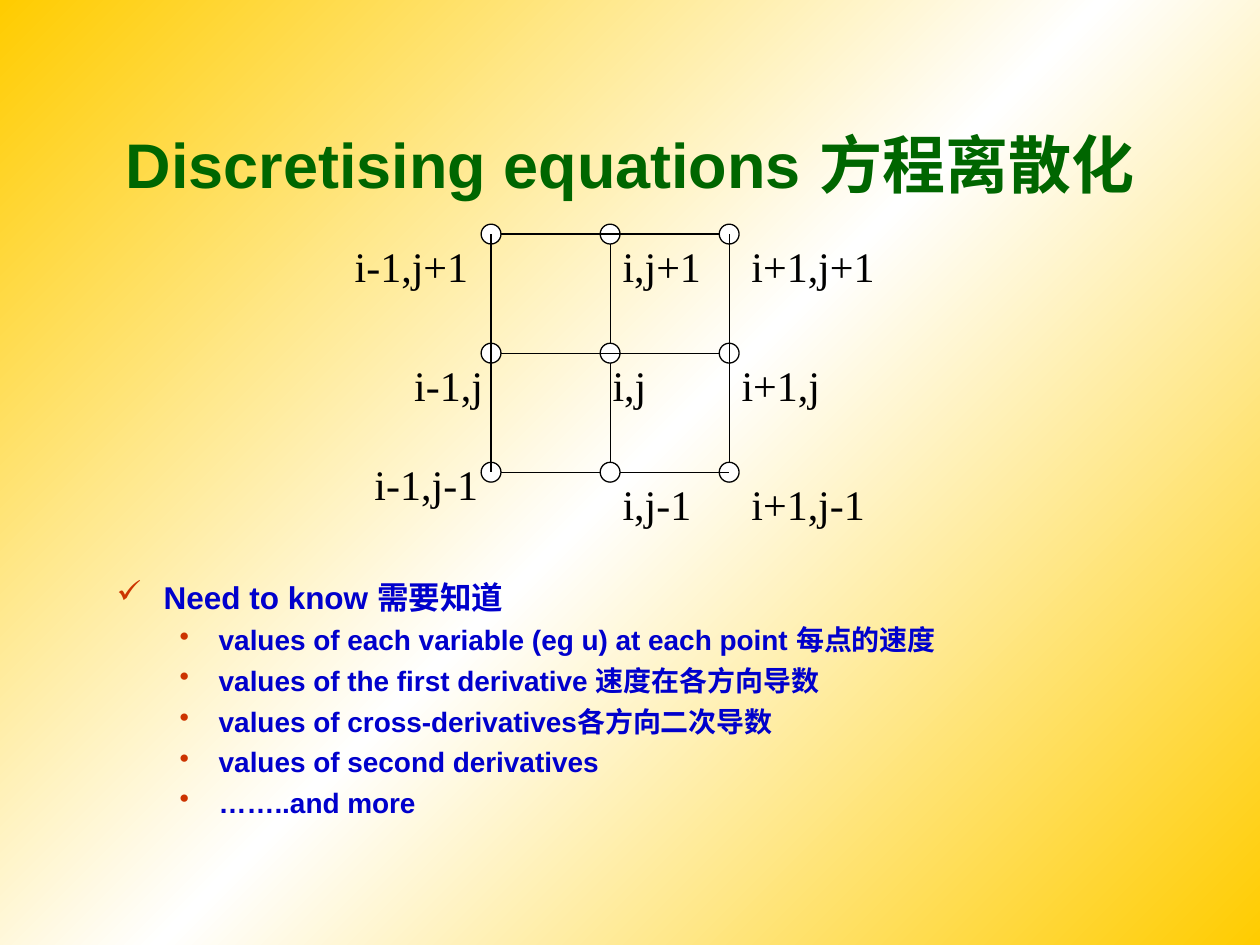
from copy import deepcopy

from lxml import etree
from pptx import Presentation, util as u
from pptx.dml.color import RGBColor
from pptx.enum import shapes, text
from pptx.oxml.ns import qn

COLORS = {"gold": "FFCC00", "white": "FFFFFF", "title": "006600",
          "body": "0000CC", "bullet": "CC3300", "ink": "000000"}

TITLE = "Discretising equations 方程离散化"
POINTS = [
    (0, "Need to know 需要知道"),
    (1, "values of each variable (eg u) at each point 每点的速度"),
    (1, "values of the first derivative 速度在各方向导数"),
    (1, "values of cross-derivatives各方向二次导数"),
    (1, "values of second derivatives"),
    (1, "……..and more"),
]
# level: bullet, left margin, hanging indent, size, space before
LEVELS = [("✓", 0.95, 0.95, 18, 4.5), ("•", 2.06, 0.79, 16, 4)]

GRID_LEFT, GRID_TOP, STEP, NODE = 9.9, 4.72, 2.4, 0.4
RIM = NODE / 2 / STEP
HORIZONTALS = [(0, RIM, 2 - RIM), (1, RIM, 2 - RIM),
               (2, RIM, 1 - RIM), (2, 1 + RIM, 2)]
VERTICALS = [(0, 0, 2), (1, RIM, 1 - RIM), (1, 1 + RIM, 2 - RIM), (2, 0, 2 - RIM)]
# text, column, row, shift right, shift down, width
LABELS = [
    ("i-1,j+1", 0, 0, -3, 0, 3.2),
    ("i,j+1", 1, 0, 0, 0, 3.8),
    ("i+1,j+1", 2, 0, 0.2, 0, 3.8),
    ("i-1,j", 0, 1, -1.8, 0, 2.6),
    ("i,j", 1, 1, -0.2, 0, 1.8),
    ("i+1,j", 2, 1, 0, 0, 2.6),
    ("i-1,j-1", 0, 2, -2.6, -0.4, 3),
    ("i,j-1", 1, 2, 0, 0, 3.8),
    ("i+1,j-1", 2, 2, 0.2, 0, 3.8),
]


def rgb(name):
    return RGBColor.from_string(COLORS[name])


def grid_point(column, row):
    return GRID_LEFT + column * STEP, GRID_TOP + row * STEP


def paint_background(slide):
    fill = slide.background.fill
    fill.gradient()
    fill.gradient_angle = 135
    stop_list = slide._element.find(".//" + qn("a:gsLst"))
    stop_list.append(deepcopy(stop_list[0]))
    for stop, name, position in zip(fill.gradient_stops, ("gold", "white", "gold"), (0, 0.5, 1)):
        stop.color.rgb = rgb(name)
        stop.position = position


def set_font(paragraph, name, size, color, bold=False):
    font = paragraph.font
    font.name, font.size, font.bold = name, u.Pt(size), bold
    font.color.rgb = rgb(color)


def add_text_box(slide, left, top, width, height):
    frame = slide.shapes.add_textbox(*map(u.Cm, (left, top, width, height))).text_frame
    frame.word_wrap = True
    return frame


def add_line(slide, start, end):
    line = slide.shapes.add_connector(
        shapes.MSO_CONNECTOR.STRAIGHT, *map(u.Cm, (*start, *end)))
    line.line.color.rgb = rgb("ink")
    line.line.width = u.Pt(0.75)
    etree.SubElement(line._element.spPr, qn("a:effectLst"))


def add_node(slide, column, row):
    x, y = grid_point(column, row)
    node = slide.shapes.add_shape(
        shapes.MSO_SHAPE.OVAL, *map(u.Cm, (x - NODE / 2, y - NODE / 2, NODE, NODE)))
    node.shadow.inherit = False
    node.fill.solid()
    node.fill.fore_color.rgb = rgb("white")
    node.line.color.rgb = rgb("ink")
    node.line.width = u.Pt(0.75)


def add_bullet(paragraph, character, margin, hanging):
    properties = paragraph._p.get_or_add_pPr()
    properties.set("marL", str(u.Cm(margin)))
    properties.set("indent", str(-u.Cm(hanging)))
    color = etree.SubElement(properties, qn("a:buClr"))
    etree.SubElement(color, qn("a:srgbClr"), val=COLORS["bullet"])
    etree.SubElement(properties, qn("a:buChar"), char=character)


def main():
    presentation = Presentation()
    presentation.slide_width, presentation.slide_height = u.Cm(25.4), u.Cm(19.05)
    slide = presentation.slides.add_slide(presentation.slide_layouts[6])
    paint_background(slide)

    frame = add_text_box(slide, 1.9, 1.7, 21.6, 3.18)
    frame.vertical_anchor = text.MSO_ANCHOR.MIDDLE
    paragraph = frame.paragraphs[0]
    paragraph.text = TITLE
    paragraph.alignment = text.PP_ALIGN.CENTER
    set_font(paragraph, "Arial", 36, "title", True)

    for row in range(3):
        for column in range(3):
            add_node(slide, column, row)
    for row, start, end in HORIZONTALS:
        add_line(slide, grid_point(start, row), grid_point(end, row))
    for column, start, end in VERTICALS:
        add_line(slide, grid_point(column, start), grid_point(column, end))

    for label, column, row, right, down, width in LABELS:
        x, y = grid_point(column, row)
        paragraph = add_text_box(slide, x + right, y + down, width, 1.27).paragraphs[0]
        paragraph.text = label
        set_font(paragraph, "Times New Roman", 24, "ink")

    frame = add_text_box(slide, 2.1, 11.53, 21.6, 6)
    for index, (level, point) in enumerate(POINTS):
        paragraph = frame.add_paragraph() if index else frame.paragraphs[0]
        bullet, margin, hanging, size, space = LEVELS[level]
        paragraph.text = point
        paragraph.level = level
        if index:
            paragraph.space_before = u.Pt(space)
        add_bullet(paragraph, bullet, margin, hanging)
        set_font(paragraph, "Arial", size, "body", True)

    presentation.save("out.pptx")


if __name__ == "__main__":
    main()
